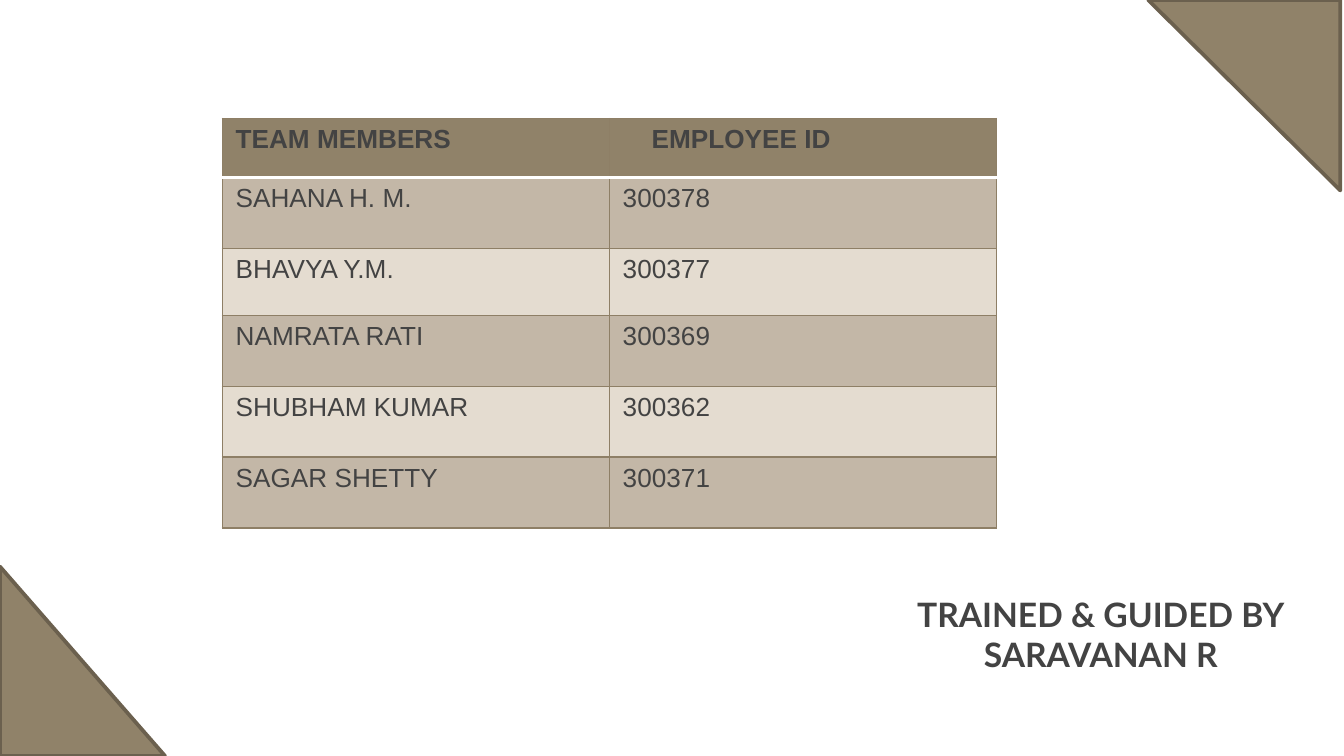
from lxml import etree
from pptx import Presentation
from pptx.dml.color import RGBColor
from pptx.enum import shapes, text
from pptx.oxml.ns import qn
from pptx.util import Cm, Pt

INK, TAN, EDGE, RULE = "434343", "908269", "6B604E", "8E7F66"
BANDS = ("C3B7A7", "E4DCD0")
TEAM = [
    ("TEAM MEMBERS", "EMPLOYEE ID"),
    ("SAHANA H. M.", "300378"),
    ("BHAVYA Y.M.", "300377"),
    ("NAMRATA RATI", "300369"),
    ("SHUBHAM KUMAR", "300362"),
    ("SAGAR SHETTY", "300371"),
]
ROWS = (1.11, 1.34, 1.27, 1.34, 1.34, 1.34)


def paint(part, color):
    part.fill.solid()
    part.fill.fore_color.rgb = RGBColor.from_string(color)


def add_run(para, words, size, face, bold):
    run = para.add_run()
    run.text = words
    font = run.font
    font.size, font.name, font.bold = Pt(size), face, bold
    font.color.rgb = RGBColor.from_string(INK)


def add_edge(cell, side, color, width):
    """Draw one cell border; call in the order L, R, T, B, before the fill."""
    props = cell._tc.get_or_add_tcPr()
    line = etree.SubElement(props, qn("a:ln" + side), w=str(Pt(width)))
    fill = etree.SubElement(line, qn("a:solidFill"))
    etree.SubElement(fill, qn("a:srgbClr"), val=color)


def add_corner(slide, x, y, w, h, turn=0):
    tri = slide.shapes.add_shape(
        shapes.MSO_SHAPE.RIGHT_TRIANGLE, Cm(x), Cm(y), Cm(w), Cm(h))
    tri.rotation = turn
    tri.shadow.inherit = False
    paint(tri, TAN)
    tri.line.color.rgb = RGBColor.from_string(EDGE)
    tri.line.width = Pt(2)


def add_team(slide, x, y, w):
    frame = slide.shapes.add_table(
        len(TEAM), 2, Cm(x), Cm(y), Cm(w), Cm(sum(ROWS)))
    table = frame.table
    for col in table.columns:
        col.width = Cm(w / 2)
    for r, (names, high) in enumerate(zip(TEAM, ROWS)):
        table.rows[r].height = Cm(high)
        head = r == 0
        for c, words in enumerate(names):
            cell = table.cell(r, c)
            for side in "LRTB":
                white = (head and side == "B") or (r == 1 and side == "T")
                add_edge(cell, side, "FFFFFF" if white else RULE,
                         2 if white else 0.75)
            paint(cell, TAN if head else BANDS[(r - 1) % 2])
            if head and c == 1:
                cell.margin_left = Cm(0.8)
            add_run(cell.text_frame.paragraphs[0], words, 14, "Arial", head)


def add_credit(slide, x, y, w, h):
    box = slide.shapes.add_textbox(Cm(x), Cm(y), Cm(w), Cm(h))
    frame = box.text_frame
    frame.word_wrap = True
    frame.vertical_anchor = text.MSO_ANCHOR.TOP
    frame.margin_left = frame.margin_right = Cm(0.25)
    frame.margin_top = frame.margin_bottom = Cm(0.25)
    para = frame.paragraphs[0]
    para.alignment = text.PP_ALIGN.CENTER
    add_run(para, "TRAINED & GUIDED BY", 18, "Lato", True)
    para.add_line_break()
    add_run(para, "SARAVANAN R", 18, "Lato", True)


def main():
    deck = Presentation()
    deck.slide_width, deck.slide_height = Cm(25.4), Cm(14.29)
    slide = deck.slides.add_slide(deck.slide_layouts[6])
    add_credit(slide, 16.64, 10.97, 8.33, 1.9)
    add_team(slide, 4.2, 2.24, 14.63)
    add_corner(slide, 0, 10.71, 3.12, 3.58)
    add_corner(slide, 21.7, 0, 3.63, 3.6, 180)
    deck.save("out.pptx")


if __name__ == "__main__":
    main()
